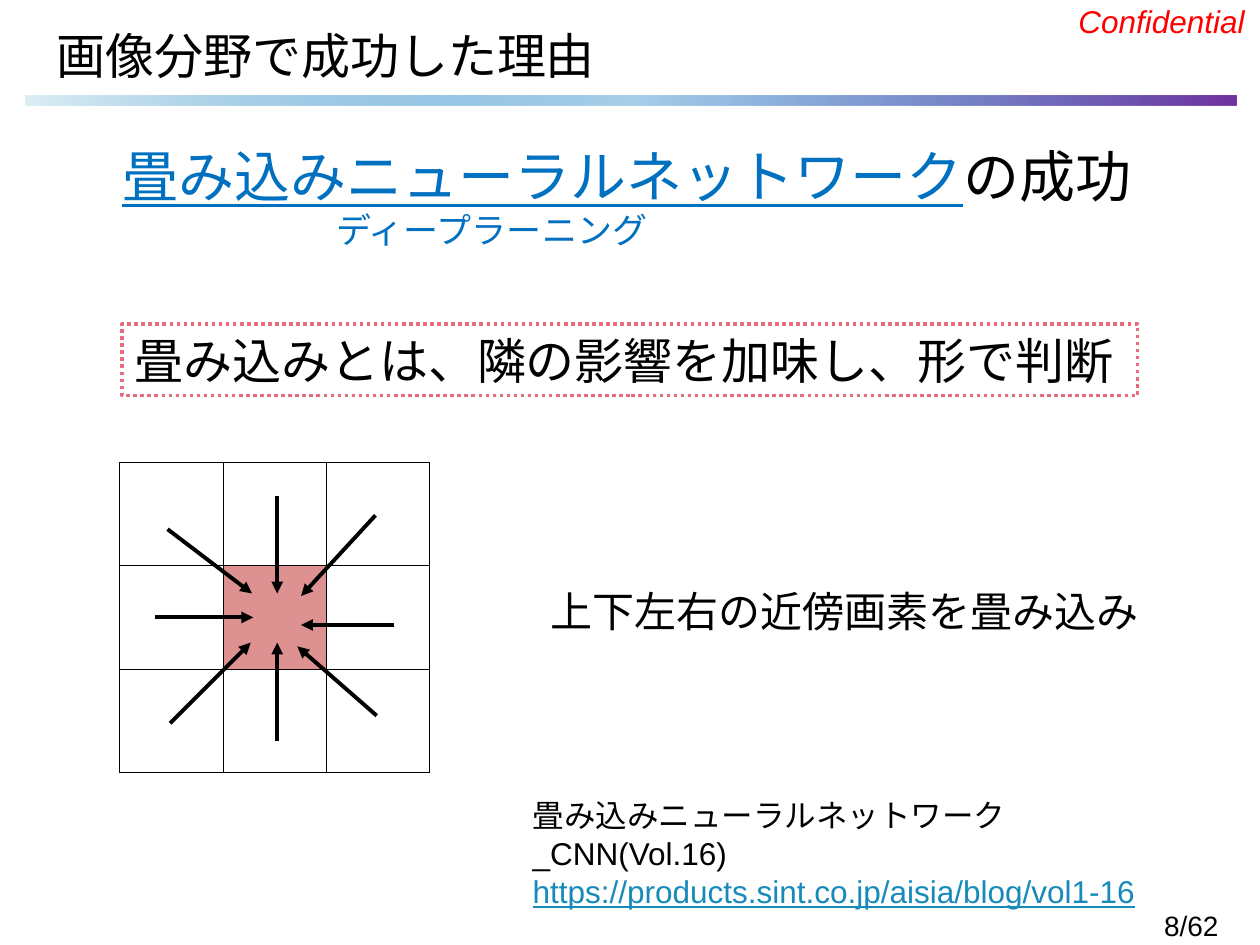
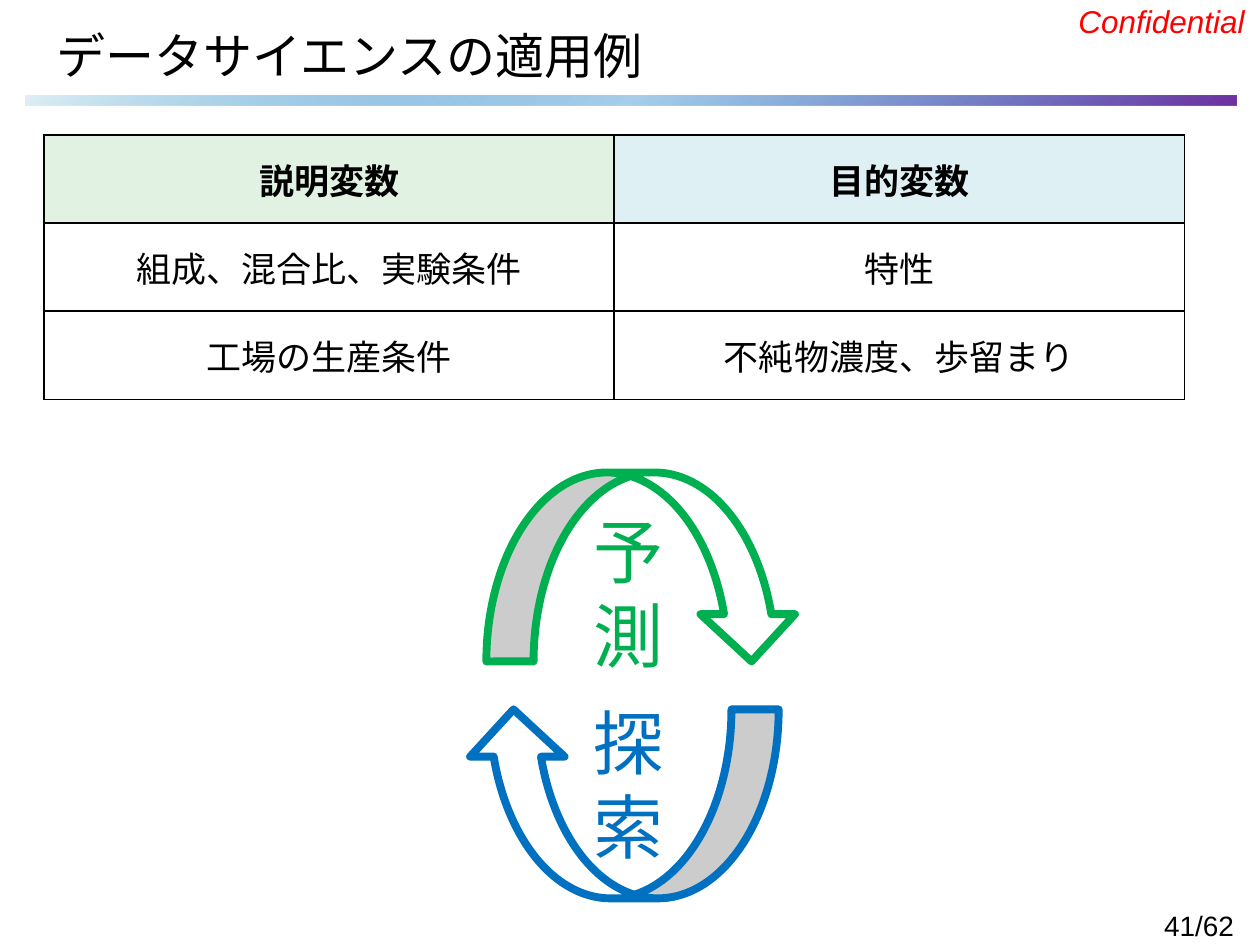
from dataclasses import dataclass

from lxml import etree
from pptx import Presentation
from pptx import util as u
from pptx.dml.color import RGBColor
from pptx.enum import dml, lang, shapes, text
from pptx.oxml.ns import qn

BLACK, WHITE, RED = "000000", "FFFFFF", "FF0000"
BLUE, GREEN, PINK = "0070C0", "00B050", "DD9191"
PALE_BLUE, PALE_GREEN, PURPLE = "DFF0F5", "E1F1E2", "7030A0"
DOTTED_PINK, LINK = "E66C7D", "168BBA"
BAND_STOPS = [(0, PALE_BLUE, 100), (50, BLUE, 34), (100, PURPLE, 100)]
CENTER = text.PP_ALIGN.CENTER
MIDDLE = text.MSO_ANCHOR.MIDDLE


@dataclass
class Area:
    left: float
    top: float
    width: float
    height: float

    def lengths(self) -> list:
        return [u.Inches(v) for v in (self.left, self.top, self.width, self.height)]


@dataclass
class Arrow:
    x1: float
    y1: float
    x2: float
    y2: float


@dataclass
class CycleHalf:
    label: str
    color: str
    label_area: Area
    arrow_area: Area
    rotation: int


NEIGHBOUR_ARROWS = [
    Arrow(2.98, 4.09, 2.39, 4.73),
    Arrow(1.35, 5.74, 1.99, 5.1),
    Arrow(1.23, 4.9, 2.01, 4.9),
    Arrow(3.13, 4.96, 2.39, 4.96),
    Arrow(2.2, 3.94, 2.2, 4.71),
    Arrow(2.2, 5.88, 2.2, 5.1),
    Arrow(2.99, 5.68, 2.36, 5.13),
    Arrow(1.33, 4.2, 2, 4.71),
]

CYCLE = [
    CycleHalf("探索", BLUE, Area(4.61, 5.49, 0.68, 1.45), Area(3.7, 5.63, 2.48, 1.5), 180),
    CycleHalf("予測", GREEN, Area(4.61, 3.98, 0.8, 1.45), Area(3.86, 3.75, 2.48, 1.5), 0),
]

VARIABLES = [
    ["説明変数", "目的変数"],
    ["組成、混合比、実験条件", "特性"],
    ["工場の生産条件", "不純物濃度、歩留まり"],
]


def rgb(value: str) -> RGBColor:
    return RGBColor.from_string(value)


def write(para, words: str, size: float = 18, color: str = BLACK, font: str = "Arial",
          bold: bool = False, italic: bool = False, underline: bool = False, align=None):
    """Append a formatted span to a paragraph."""
    span = para.add_run()
    span.text = words
    style = span.font
    style.name, style.size = font, u.Pt(size)
    style.bold, style.italic, style.underline = bold, italic, underline
    style.color.rgb = rgb(color)
    style.language_id = lang.MSO_LANGUAGE_ID.JAPANESE
    if align is not None:
        para.alignment = align
    return span


def add_text(page, area: Area, words: str = "", wrap: bool = False, **style):
    box = page.shapes.add_textbox(*area.lengths())
    frame = box.text_frame
    frame.word_wrap = wrap
    frame.auto_size = text.MSO_AUTO_SIZE.SHAPE_TO_FIT_TEXT
    if words:
        write(frame.paragraphs[0], words, **style)
    return frame


def add_block(page, preset, area: Area, fill: str = WHITE, line: str = "", width: float = 1):
    block = page.shapes.add_shape(preset, *area.lengths())
    block.shadow.inherit = False
    block.fill.solid()
    block.fill.fore_color.rgb = rgb(fill)
    if line:
        block.line.color.rgb = rgb(line)
        block.line.width = u.Pt(width)
    else:
        block.line.fill.background()
    return block


def add_arrow(page, arrow: Arrow) -> None:
    ends = [u.Inches(v) for v in (arrow.x1, arrow.y1, arrow.x2, arrow.y2)]
    link = page.shapes.add_connector(shapes.MSO_CONNECTOR.STRAIGHT, *ends)
    link.line.color.rgb = rgb(BLACK)
    link.line.width = u.Pt(2.25)
    props = link.element.spPr
    etree.SubElement(props.find(qn("a:ln")), qn("a:tailEnd"), type="triangle")
    etree.SubElement(props, qn("a:effectLst"))


def add_grid(page, area: Area, rows: int, cols: int, border: float):
    """Add a plain table with equal cells and black borders."""
    table = page.shapes.add_table(rows, cols, *area.lengths()).table
    table.first_row = table.horz_banding = False
    for col in table.columns:
        col.width = u.Inches(area.width / cols)
    for row in table.rows:
        row.height = u.Inches(area.height / rows)
    for cell in table.iter_cells():
        props = cell._tc.get_or_add_tcPr()
        for side in ("lnL", "lnR", "lnT", "lnB"):
            line = etree.SubElement(props, qn(f"a:{side}"), w=str(u.Pt(border)))
            solid = etree.SubElement(line, qn("a:solidFill"))
            etree.SubElement(solid, qn("a:srgbClr"), val=BLACK)
        cell.fill.background()
        cell.vertical_anchor = MIDDLE
    return table


def fill_cell(cell, color: str) -> None:
    cell.fill.solid()
    cell.fill.fore_color.rgb = rgb(color)


def add_band(page) -> None:
    band = add_block(page, shapes.MSO_SHAPE.RECTANGLE, Area(0.2, 0.76, 9.61, 0.08))
    band.fill.gradient()
    band.fill.gradient_angle = 315
    stops = band.element.spPr.find(qn("a:gradFill")).find(qn("a:gsLst"))
    for stop in list(stops):
        stops.remove(stop)
    for position, color, opacity in BAND_STOPS:
        stop = etree.SubElement(stops, qn("a:gs"), pos=str(position * 1000))
        shade = etree.SubElement(stop, qn("a:srgbClr"), val=color)
        if opacity < 100:
            etree.SubElement(shade, qn("a:alpha"), val=str(opacity * 1000))


def add_page(deck, title: str, number: str):
    """Start a page with the shared title, band, mark and page number."""
    page = deck.slides.add_slide(deck.slide_layouts[5])
    add_band(page)
    add_text(page, Area(9.14, 7.16, 0.79, 0.37), number, size=16)
    add_text(page, Area(8.46, -0.03, 1.53, 0.4), "Confidential", color=RED, italic=True)
    heading = page.shapes.title
    heading.left, heading.top, heading.width, heading.height = Area(0.35, 0.13, 9.32, 0.61).lengths()
    frame = heading.text_frame
    frame.auto_size = text.MSO_AUTO_SIZE.NONE
    frame.vertical_anchor = MIDDLE
    write(frame.paragraphs[0], title, size=28, font="Calibri", align=text.PP_ALIGN.LEFT)
    return page


def build_convolution(deck) -> None:
    page = add_page(deck, "画像分野で成功した理由", "8/62")

    # Key message with an indented reading below
    frame = add_text(page, Area(0.87, 1.07, 8.28, 0.98), "畳み込みニューラルネットワーク",
                     size=32, color=BLUE, underline=True)
    write(frame.paragraphs[0], "の成功", size=32)
    para = frame.add_paragraph()
    para._p.get_or_add_pPr().set("marL", str(u.Inches(1.7)))
    write(para, "ディープラーニング", size=20, color=BLUE)

    # Pixel grid with arrows towards the centre
    grid = add_grid(page, Area(0.95, 3.67, 2.46, 2.46), 3, 3, 0.5)
    fill_cell(grid.cell(1, 1), PINK)
    for arrow in NEIGHBOUR_ARROWS:
        add_arrow(page, arrow)

    # Definition in a dotted frame
    definition = add_block(page, shapes.MSO_SHAPE.RECTANGLE, Area(0.97, 2.57, 8.06, 0.57),
                           line=DOTTED_PINK, width=2)
    definition.line.dash_style = dml.MSO_LINE.ROUND_DOT
    definition.text_frame.vertical_anchor = MIDDLE
    write(definition.text_frame.paragraphs[0], "畳み込みとは、隣の影響を加味し、形で判断",
          size=28, font="Noto Sans Mono", align=text.PP_ALIGN.LEFT)

    # Explanation and source
    add_text(page, Area(4.25, 4.6, 4.91, 0.5), "上下左右の近傍画素を畳み込み", size=24, align=CENTER)
    frame = add_text(page, Area(4.13, 6.27, 5.2, 0.71),
                     "畳み込みニューラルネットワーク_CNN(Vol.16)", wrap=True)
    write(frame.add_paragraph(), "https://products.sint.co.jp/aisia/blog/vol1-16",
          color=LINK, underline=True)


def build_applications(deck) -> None:
    page = add_page(deck, "データサイエンスの適用例", "41/62")

    # Table of variables
    table = add_grid(page, Area(0.35, 1.07, 9.05, 2.1), 3, 2, 1)
    for r, row in enumerate(VARIABLES):
        for c, words in enumerate(row):
            para = table.cell(r, c).text_frame.paragraphs[0]
            write(para, words, size=20, bold=r == 0, align=CENTER)
    for c, color in enumerate((PALE_GREEN, PALE_BLUE)):
        fill_cell(table.cell(0, c), color)

    # Cycle of prediction and search
    for half in CYCLE:
        label = add_block(page, shapes.MSO_SHAPE.RECTANGLE, half.label_area)
        label.text_frame.word_wrap = True
        label.text_frame.vertical_anchor = MIDDLE
        write(label.text_frame.paragraphs[0], half.label, size=40, color=half.color,
              align=text.PP_ALIGN.LEFT)
        arrow = add_block(page, shapes.MSO_SHAPE.CURVED_DOWN_ARROW, half.arrow_area,
                          line=half.color, width=4.5)
        arrow.rotation = half.rotation


def main() -> None:
    deck = Presentation()
    deck.slide_width, deck.slide_height = u.Inches(10), u.Inches(7.5)
    build_convolution(deck)
    build_applications(deck)
    deck.save("out.pptx")


if __name__ == "__main__":
    main()
